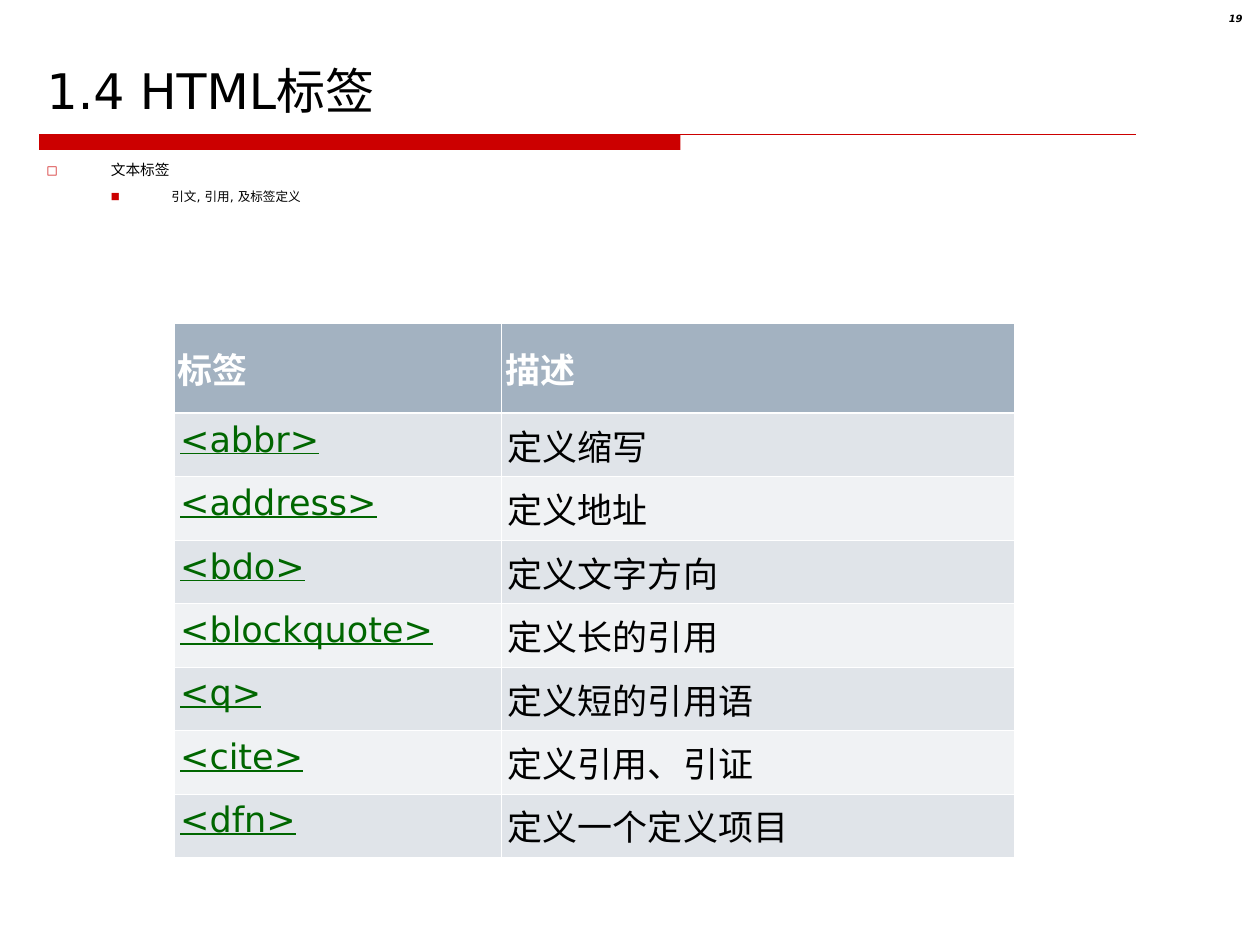
from dataclasses import dataclass
from typing import Any

from pptx import Presentation
from pptx import util as u
from pptx.dml.color import RGBColor
from pptx.enum import lang, shapes, text
from pptx.oxml import ns, parse_xml


@dataclass(frozen=True)
class Theme:
    font: str = "DejaVu Sans"
    ink: str = "000000"
    accent: str = "CC0000"
    paper: str = "FFFFFF"
    tag: str = "006600"
    header: str = "A3B2C1"
    bands: tuple[str, str] = ("E0E4E9", "F0F2F4")
    title_size: float = 28
    number_size: float = 5.7
    table_size: float = 20
    thin_rule: float = 0.45
    thick_rule: float = 1.47


@dataclass(frozen=True)
class Bullet:
    words: str
    level: int
    size: float
    before: float
    margin: float
    hanging: float
    mark: str
    mark_percent: int


@dataclass(frozen=True)
class Tag:
    name: str
    meaning: str


THEME = Theme()
BULLETS = [
    Bullet("文本标签", 0, 8.4, 6.5, 0.51, 0.51, "□", 80),
    Bullet("引文, 引用, 及标签定义", 1, 7.2, 5.5, 0.99, 0.48, "■", 75),
]
TAGS = [
    Tag("<abbr>", "定义缩写"),
    Tag("<address>", "定义地址"),
    Tag("<bdo>", "定义文字方向"),
    Tag("<blockquote>", "定义长的引用"),
    Tag("<q>", "定义短的引用语"),
    Tag("<cite>", "定义引用、引证"),
    Tag("<dfn>", "定义一个定义项目"),
]


def apply(target: Any, values: dict[str, Any]) -> None:
    for name, value in values.items():
        setattr(target, name, value)


def write(para: Any, words: str, size: float, color: str, **style: Any) -> None:
    span = para.add_run()
    span.text = words
    apply(span.font, {
        "name": THEME.font,
        "size": u.Pt(size),
        "language_id": lang.MSO_LANGUAGE_ID.SIMPLIFIED_CHINESE,
        **style,
    })
    span.font.color.rgb = RGBColor.from_string(color)


def place(box: Any, left: float, top: float, width: float, height: float) -> None:
    apply(box, {
        "left": u.Inches(left),
        "top": u.Inches(top),
        "width": u.Inches(width),
        "height": u.Inches(height),
    })
    apply(box.text_frame, {"word_wrap": True, "auto_size": text.MSO_AUTO_SIZE.NONE})


def draw_title(page: Any) -> None:
    box = page.shapes.title
    place(box, 0.27, 0.13, 9.45, 0.87)
    box.text_frame.vertical_anchor = text.MSO_ANCHOR.BOTTOM
    para = box.text_frame.paragraphs[0]
    para.alignment = text.PP_ALIGN.LEFT
    write(para, "1.4 HTML标签", THEME.title_size, THEME.ink)


def draw_rule(page: Any) -> None:
    left, top = u.Inches(0.31), u.Inches(1.07)
    band = page.shapes.add_shape(
        shapes.MSO_SHAPE.RECTANGLE, left, top, u.Inches(5.09), u.Inches(0.12))
    band.shadow.inherit = False
    band.fill.solid()
    band.fill.fore_color.rgb = RGBColor.from_string(THEME.accent)
    band.line.fill.background()
    rule = page.shapes.add_connector(
        shapes.MSO_CONNECTOR.STRAIGHT, left, top, u.Inches(9.02), top)
    rule.line.color.rgb = RGBColor.from_string(THEME.accent)
    rule.line.width = u.Pt(0.75)
    rule._element.spPr.append(parse_xml(f'<a:effectLst {ns.nsdecls("a")}/>'))


def draw_bullets(page: Any, bullets: list[Bullet]) -> None:
    box = page.placeholders[1]
    place(box, 0.27, 1.23, 9.45, 0.47)
    frame = box.text_frame
    for index, bullet in enumerate(bullets):
        para = frame.add_paragraph() if index else frame.paragraphs[0]
        apply(para, {"level": bullet.level, "space_before": u.Pt(bullet.before)})
        props = para._p.get_or_add_pPr()
        props.set("marL", str(u.Inches(bullet.margin)))
        props.set("indent", str(-u.Inches(bullet.hanging)))
        for part in (
            f'<a:buClr {ns.nsdecls("a")}><a:srgbClr val="{THEME.accent}"/></a:buClr>',
            f'<a:buSzPct {ns.nsdecls("a")} val="{bullet.mark_percent * 1000}"/>',
            f'<a:buFont {ns.nsdecls("a")} typeface="{THEME.font}"/>',
            f'<a:buChar {ns.nsdecls("a")} char="{bullet.mark}"/>',
        ):
            props.append(parse_xml(part))
        write(para, bullet.words, bullet.size, THEME.ink)


def draw_number(page: Any) -> None:
    box = page.shapes.add_textbox(0, 0, 0, 0)
    place(box, 9.37, 0.05, 0.59, 0.23)
    para = box.text_frame.paragraphs[0]
    para.alignment = text.PP_ALIGN.RIGHT
    write(para, "19", THEME.number_size, THEME.ink, bold=True, italic=True)


def style_cell(cell: Any, fill: str, inset: float, anchor: Any,
               top: float, bottom: float) -> None:
    apply(cell, {
        "margin_left": u.Inches(inset),
        "margin_right": u.Inches(inset),
        "margin_top": u.Inches(0.05),
        "margin_bottom": u.Inches(0.05),
        "vertical_anchor": anchor,
    })
    edges = {"lnL": THEME.thin_rule, "lnR": THEME.thin_rule, "lnT": top, "lnB": bottom}
    for edge, width in edges.items():
        cell._tc.get_or_add_tcPr().append(parse_xml(
            f'<a:{edge} {ns.nsdecls("a")} w="{u.Pt(width)}"><a:solidFill>'
            f'<a:srgbClr val="{THEME.paper}"/></a:solidFill></a:{edge}>'))
    cell.fill.solid()
    cell.fill.fore_color.rgb = RGBColor.from_string(fill)


def draw_table(page: Any, headings: list[str], tags: list[Tag]) -> None:
    header_height, row_height = 0.71, 0.48
    widths = [2.6, 4.07]
    table = page.shapes.add_table(
        len(tags) + 1, len(widths), u.Inches(1.38), u.Inches(2.57),
        u.Inches(sum(widths)), u.Inches(header_height + row_height * len(tags))).table
    apply(table, {"first_row": False, "horz_banding": False})
    for column, width in zip(table.columns, widths):
        column.width = u.Inches(width)
    for index, row in enumerate(table.rows):
        row.height = u.Inches(row_height if index else header_height)
    thin, thick = THEME.thin_rule, THEME.thick_rule
    for column, heading in enumerate(headings):
        cell = table.cell(0, column)
        style_cell(cell, THEME.header, 0.03, text.MSO_ANCHOR.MIDDLE, thin, thick)
        write(cell.text_frame.paragraphs[0], heading, THEME.table_size,
              THEME.paper, bold=True)
    for row, tag in enumerate(tags, 1):
        for column, words in enumerate((tag.name, tag.meaning)):
            cell = table.cell(row, column)
            style_cell(cell, THEME.bands[(row - 1) % 2], 0.05, text.MSO_ANCHOR.TOP,
                       thick if row == 1 else thin, thin)
            is_name = column == 0
            write(cell.text_frame.paragraphs[0], words, THEME.table_size,
                  THEME.tag if is_name else THEME.ink, underline=is_name)


def main() -> None:
    deck = Presentation()
    apply(deck, {"slide_width": u.Inches(10), "slide_height": u.Inches(7.5)})
    page = deck.slides.add_slide(deck.slide_layouts[1])
    draw_rule(page)
    draw_title(page)
    draw_bullets(page, BULLETS)
    draw_number(page)
    draw_table(page, ["标签", "描述"], TAGS)
    deck.save("out.pptx")


if __name__ == "__main__":
    main()
